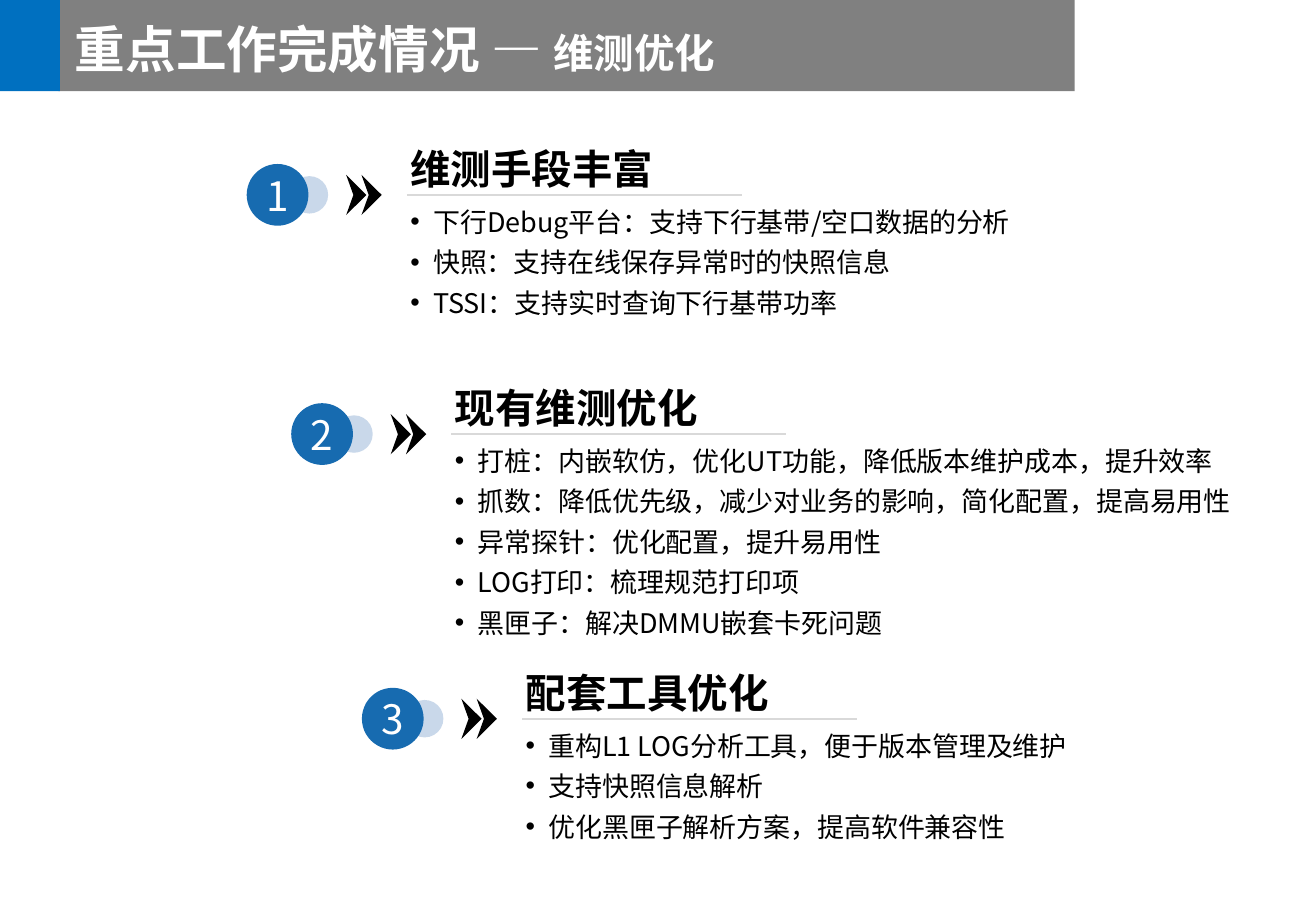
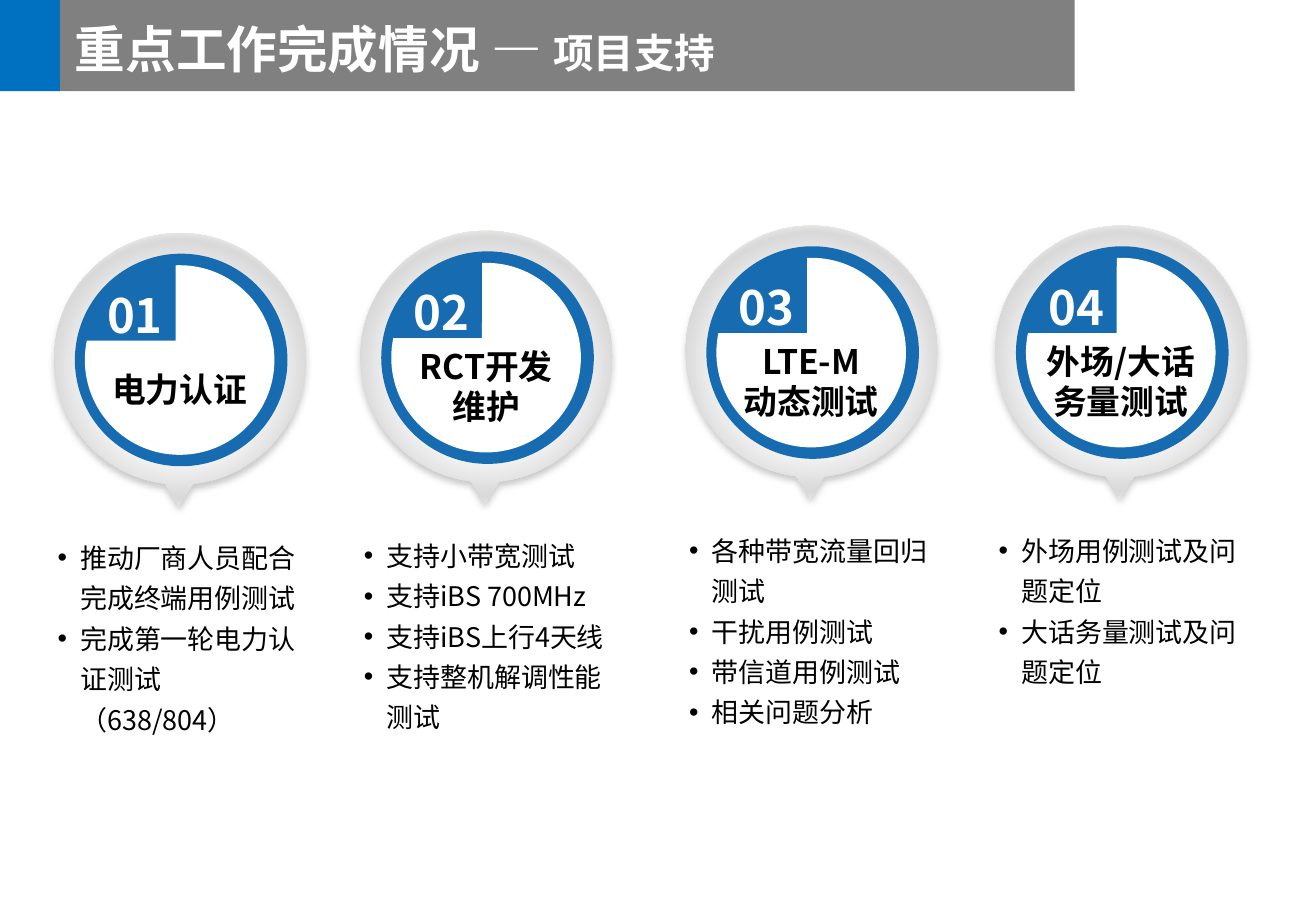
import math

from lxml import etree
from pptx import Presentation
from pptx.dml.color import RGBColor
from pptx.enum.shapes import MSO_CONNECTOR, MSO_SHAPE
from pptx.enum.text import MSO_ANCHOR, MSO_AUTO_SIZE, PP_ALIGN
from pptx.oxml.ns import qn
from pptx.util import Pt

RECTANGLE, OVAL = MSO_SHAPE.RECTANGLE, MSO_SHAPE.OVAL
STRAIGHT = MSO_CONNECTOR.STRAIGHT
TOP, MIDDLE, BOTTOM = MSO_ANCHOR.TOP, MSO_ANCHOR.MIDDLE, MSO_ANCHOR.BOTTOM
LEFT, CENTER = PP_ALIGN.LEFT, PP_ALIGN.CENTER
GROW = MSO_AUTO_SIZE.SHAPE_TO_FIT_TEXT

FONT = "Noto Sans CJK SC"
COLORS = {
    "band": "808080", "accent": "0070C0", "blue": "176BB0", "halo": "95B3D7",
    "rule": "D9D9D9", "black": "000000", "white": "FFFFFF", "cream": "FFF9F4",
}
RIM_STOPS = [(42, "white"), (70, "rule"), (79, "cream"), (98, "rule")]


def rgb(name):
    """Return the named colour."""
    return RGBColor.from_string(COLORS[name])


def add_node(parent, tag, **attributes):
    """Append a DrawingML element and return it."""
    node = etree.SubElement(parent, qn(tag))
    for key, value in attributes.items():
        node.set(key, str(value))
    return node


def add_color(parent, name, alpha=None):
    """Append a colour element, with an opacity in percent if given."""
    color = add_node(parent, "a:srgbClr", val=COLORS[name])
    if alpha is not None:
        add_node(color, "a:alpha", val=alpha * 1000)


def style_shape(shape, fill, outline=None):
    """Give a shape a plain fill, an optional 2 pt outline and no shadow."""
    shape.shadow.inherit = False
    shape.fill.solid()
    shape.fill.fore_color.rgb = rgb(fill)
    if outline:
        shape.line.color.rgb = rgb(outline)
        shape.line.width = Pt(2)
    else:
        shape.line.fill.background()
    return shape


def add_shape(slide, kind, box, fill, outline=None):
    """Add a preset shape in a box of points."""
    shape = slide.shapes.add_shape(kind, *map(Pt, box))
    return style_shape(shape, fill, outline)


def add_outline(slide, contours, fill):
    """Add a freeform made of closed contours of points."""
    builder = None
    for contour in contours:
        points = [(Pt(x), Pt(y)) for x, y in contour]
        if builder is None:
            builder = slide.shapes.build_freeform(*points[0])
        else:
            builder.move_to(*points[0])
        builder.add_line_segments(points[1:], close=True)
    return style_shape(builder.convert_to_shape(), fill)


def on_circle(center, radius, angle):
    """Point on a circle; degrees run clockwise from the top."""
    turn = math.radians(angle)
    return center[0] + radius * math.sin(turn), center[1] - radius * math.cos(turn)


def add_round_outline(slide, center, radius, steps, fill):
    """Add a freeform from the circle's top: a number is an arc to that angle,
    a pair is a straight line to that point."""
    points = [on_circle(center, radius, 0)]
    for step in steps:
        points.append(step if isinstance(step, tuple)
                      else on_circle(center, radius, step))
    shape = add_outline(slide, [points], fill)
    segments = list(shape._element.iter(qn("a:lnTo")))
    for step, (x, y), segment in zip(steps, points, segments):
        if isinstance(step, tuple):
            continue
        start = math.degrees(math.atan2(x - center[0], center[1] - y)) % 360
        sweep = math.radians(step - start)
        handle = 4 / 3 * math.tan(sweep / 4)
        reach = radius * math.hypot(1, handle)
        lean = math.degrees(math.atan(handle))
        curve = etree.Element(qn("a:cubicBezTo"))
        for control_x, control_y in (on_circle(center, reach, start + lean),
                                     on_circle(center, reach, step - lean)):
            add_node(curve, "a:pt", x=Pt(control_x) - shape.left,
                     y=Pt(control_y) - shape.top)
        curve.append(segment[0])
        segment.getparent().replace(segment, curve)
    return shape


def set_frame(shape, insets=(0, 0, 0, 0), anchor=TOP):
    """Set wrapping, insets and anchor; return the text frame."""
    frame = shape.text_frame
    frame.word_wrap = True
    frame.vertical_anchor = anchor
    (frame.margin_left, frame.margin_top,
     frame.margin_right, frame.margin_bottom) = map(Pt, insets)
    return frame


def add_textbox(slide, box, insets=(0, 0, 0, 0), anchor=TOP):
    """Add an empty text box and return its frame."""
    return set_frame(slide.shapes.add_textbox(*map(Pt, box)), insets, anchor)


def add_run(paragraph, text, size, color="black", bold=False):
    """Add one run of text."""
    run = paragraph.add_run()
    run.text = text
    run.font.name = FONT
    run.font.size = Pt(size)
    run.font.bold = bold
    run.font.color.rgb = rgb(color)
    add_node(run.font._element, "a:ea", typeface=FONT)


def write_lines(frame, lines, size, color="black", bold=False, align=LEFT):
    """Write one paragraph per line and return the paragraphs."""
    for index, line in enumerate(lines):
        paragraph = frame.add_paragraph() if index else frame.paragraphs[0]
        paragraph.alignment = align
        add_run(paragraph, line, size, color, bold)
    return frame.paragraphs


def write_bullets(frame, lines):
    """Write a bulleted list."""
    for paragraph in write_lines(frame, lines, 16):
        paragraph.line_spacing = 1.25
        properties = paragraph._p.get_or_add_pPr()
        properties.set("marL", str(Pt(13.5)))
        properties.set("indent", str(-Pt(13.5)))
        add_node(properties, "a:buFont", typeface="Arial")
        add_node(properties, "a:buChar", char="•")


def add_header(slide, topic):
    """Draw the title band with its accent block and two-size title."""
    add_shape(slide, RECTANGLE, (34.6, 0, 602.4, 54), "band")
    add_shape(slide, RECTANGLE, (0, 0, 35.6, 54), "accent")
    frame = add_textbox(slide, (37.4, 3.6, 528.5, 50.4), (7.2,) * 4, MIDDLE)
    frame.auto_size = GROW
    paragraph = frame.paragraphs[0]
    add_run(paragraph, "重点工作完成情况 — ", 30, "white", True)
    add_run(paragraph, topic, 24, "white", True)


def add_section(slide, box, number, heading, bullets):
    """Draw a numbered section; the box starts at its number badge."""
    left, top, width, height = box
    halo = add_shape(slide, OVAL, (left + 26.1, top + 7.2, 22.2, 22.2), "halo")
    color = halo.fill._xPr.find(qn("a:solidFill")).find(qn("a:srgbClr"))
    add_node(color, "a:alpha", val=50000)

    badge = add_shape(slide, OVAL, (left, top, 36.6, 36.6), "blue")
    write_lines(set_frame(badge, anchor=MIDDLE), [number], 24, "white", align=CENTER)

    middle = top + 18.4
    chevrons = [[(x + 12, middle), (x, middle - 11.9), (x + 4.3, middle),
                 (x, middle + 11.9)] for x in (left + 59, left + 68.1)]
    add_outline(slide, chevrons, "black")

    text_left = left + 97.1
    frame = add_textbox(slide, (text_left, top + 19.7, width - 97.1, height - 19.7))
    write_bullets(frame, bullets)
    frame = add_textbox(slide, (text_left, top - 25.5, 384.5, 42.5), anchor=BOTTOM)
    write_lines(frame, [heading], 24, bold=True)

    rule = slide.shapes.add_connector(
        STRAIGHT, *map(Pt, (left + 95, middle, left + 293.4, middle)))
    rule.line.color.rgb = rgb("rule")
    rule.line.width = Pt(1)
    add_node(rule._element.spPr, "a:effectLst")


def add_rim(slide, center, radius):
    """Draw the shaded pin outline with its pointed tip."""
    x, y = center
    steps = [90, 174, (x - 0.7, y + 87), on_circle(center, radius, 187), 270, 360]
    rim = add_round_outline(slide, center, radius, steps, "rule")
    rim.fill.gradient()
    gradient = rim._element.spPr.find(qn("a:gradFill"))
    for child in list(gradient):
        gradient.remove(child)
    stops = add_node(gradient, "a:gsLst")
    for position, name in RIM_STOPS:
        add_color(add_node(stops, "a:gs", pos=position * 1000), name)
    circle = add_node(gradient, "a:path", path="circle")
    add_node(circle, "a:fillToRect", l=50000, t=50000, r=50000, b=50000)
    effects = rim._element.spPr.find(qn("a:effectLst"))
    shadow = add_node(effects, "a:outerShdw", blurRad=Pt(4), dist=Pt(3),
                      dir=90 * 60000, algn="t", rotWithShape=0)
    add_color(shadow, "band", 41)


def add_pin(slide, box, number, label, bullets):
    """Draw a numbered pin with its label and the list below it."""
    left, top, width, height = box
    radius = width / 2
    center = (left + radius, top + radius)
    add_rim(slide, center, radius)

    disc = add_shape(slide, OVAL, (left + 13.2, top + 13.2, width - 25, width - 25),
                     "blue", "blue")
    write_lines(set_frame(disc, (0, 0, 42.5, 3.6)), [number], 28, "white", True)

    x, y = middle = (center[0] - 0.2, center[1] + 0.7)
    steps = [90, 180, 270, 281.8, (x - 2.4, y - 11.5),
             on_circle(middle, 56.2, -2.4), 360]
    face = add_round_outline(slide, middle, 56.2, steps, "white")
    frame = set_frame(face, (7.2, 33.8, 7.2, 0), MIDDLE)
    write_lines(frame, label, 20, bold=True, align=CENTER)

    list_box = (left - 5.2, top + 174.5, 157, height - 174.5)
    write_bullets(add_textbox(slide, list_box, (7.2, 3.6, 7.2, 3.6)), bullets)


SECTIONS = [
    ((146.2, 97.2, 481.7, 89.2), "维测手段丰富",
     ["下行Debug平台：支持下行基带/空口数据的分析",
      "快照：支持在线保存异常时的快照信息",
      "TSSI：支持实时查询下行基带功率"]),
    ((172.6, 239, 563, 134.6), "现有维测优化",
     ["打桩：内嵌软仿，优化UT功能，降低版本维护成本，提升效率",
      "抓数：降低优先级，减少对业务的影响，简化配置，提高易用性",
      "异常探针：优化配置，提升易用性",
      "LOG打印：梳理规范打印项",
      "黑匣子：解决DMMU嵌套卡死问题"]),
    ((214.5, 407.7, 481.7, 88.5), "配套工具优化",
     ["重构L1 LOG分析工具，便于版本管理及维护",
      "支持快照信息解析",
      "优化黑匣子解析方案，提高软件兼容性"]),
]
PINS = [
    ((32.2, 138.2, 149, 297.3), ["电力认证"],
     ["推动厂商人员配合完成终端用例测试",
      "完成第一轮电力认证测试（638/804）"]),
    ((213.8, 136.8, 149, 326.1), ["RCT开发维护"],
     ["支持小带宽测试", "支持iBS 700MHz", "支持iBS上行4天线",
      "支持整机解调性能测试"]),
    ((406.5, 133.8, 149, 320.4), ["LTE-M", "动态测试"],
     ["各种带宽流量回归测试", "干扰用例测试", "带信道用例测试", "相关问题分析"]),
    ((590, 133.8, 149, 320.4), ["外场/大话务量测试"],
     ["外场用例测试及问题定位", "大话务量测试及问题定位"]),
]


def main():
    """Build both slides and save them."""
    presentation = Presentation()
    presentation.slide_width, presentation.slide_height = Pt(780), Pt(540)
    blank = presentation.slide_layouts[6]

    slide = presentation.slides.add_slide(blank)
    add_header(slide, "维测优化")
    for index, (box, heading, bullets) in enumerate(SECTIONS, 1):
        add_section(slide, box, str(index), heading, bullets)

    slide = presentation.slides.add_slide(blank)
    add_header(slide, "项目支持")
    for index, (box, label, bullets) in enumerate(PINS, 1):
        add_pin(slide, box, f"{index:02d}", label, bullets)

    presentation.save("out.pptx")


main()
